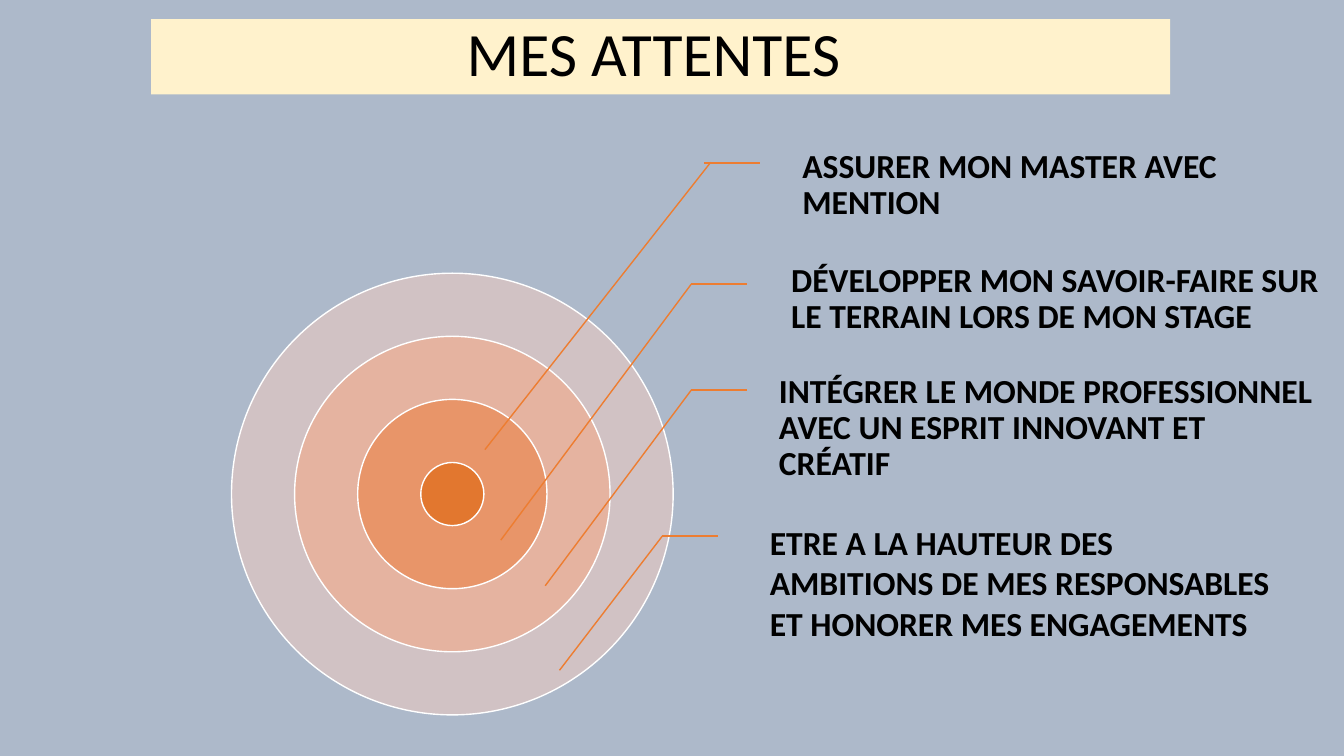
from lxml.etree import SubElement
from pptx import Presentation
from pptx.dml.color import RGBColor
from pptx.enum.shapes import MSO_CONNECTOR, MSO_SHAPE
from pptx.enum.text import MSO_ANCHOR, PP_ALIGN
from pptx.oxml.ns import qn
from pptx.util import Cm, Pt

BLUE_GREY = RGBColor(0xAD, 0xB9, 0xCA)
CREAM = RGBColor(0xFF, 0xF2, 0xCC)
BLACK = RGBColor(0x00, 0x00, 0x00)
WHITE = RGBColor(0xFF, 0xFF, 0xFF)
ORANGE = RGBColor(0xED, 0x7D, 0x31)

TARGET_CENTRE = (11.4, 12.45)
BULLSEYE_DIAMETER = 1.59
SHELF_LENGTH = 1.4

# Rings from the outside in: fill, opacity in percent
RINGS = [
    (RGBColor(0xF6, 0xCC, 0xBF), 50),
    (RGBColor(0xF0, 0xAC, 0x8F), 67),
    (RGBColor(0xE9, 0x8F, 0x5F), 83),
    (RGBColor(0xE2, 0x77, 0x2F), 100),
]

# Text, text box, shelf start, pointer start, pointer end (cm)
EXPECTATIONS = [
    ("ASSURER MON MASTER AVEC MENTION",
     (19.74, 3.35, 13.64, 2.67), (17.75, 4.11), (17.91, 4.09), (12.22, 11.33)),
    ("DÉVELOPPER MON SAVOIR-FAIRE SUR LE TERRAIN LORS DE MON STAGE",
     (19.46, 5.61, 13.97, 3.89), (17.42, 7.16), (17.42, 7.16), (12.62, 13.61)),
    ("INTÉGRER LE MONDE PROFESSIONNEL AVEC UN ESPRIT INNOVANT ET CRÉATIF",
     (19.15, 9.14, 14.25, 3.33), (17.42, 9.83), (17.42, 9.83), (13.74, 14.76)),
]
COMMITMENT = (
    "ETRE A LA HAUTEUR DES AMBITIONS DE MES RESPONSABLES ET HONORER MES ENGAGEMENTS",
    (19.15, 13.03, 13.36, 3.33), (16.69, 13.51), (16.69, 13.51), (14.1, 16.89))


def set_text(shape, text, size, bold=False, line_spacing=None):
    shape.text_frame.word_wrap = True
    paragraph = shape.text_frame.paragraphs[0]
    paragraph.text = text
    paragraph.line_spacing = line_spacing
    paragraph.font.name = "Calibri"
    paragraph.font.size = Pt(size)
    paragraph.font.bold = bold
    paragraph.font.color.rgb = BLACK
    return paragraph


def add_title(slide, text):
    banner = slide.shapes.add_shape(
        MSO_SHAPE.RECTANGLE, Cm(3.81), Cm(0.48), Cm(25.68), Cm(1.9))
    banner.shadow.inherit = False
    banner.fill.solid()
    banner.fill.fore_color.rgb = CREAM
    banner.line.fill.background()
    banner.text_frame.vertical_anchor = MSO_ANCHOR.MIDDLE
    paragraph = set_text(banner, text, 44, line_spacing=0.9)
    paragraph.alignment = PP_ALIGN.CENTER


def add_ring(slide, diameter, color, opacity):
    left, top = (centre - diameter / 2 for centre in TARGET_CENTRE)
    ring = slide.shapes.add_shape(
        MSO_SHAPE.OVAL, Cm(left), Cm(top), Cm(diameter), Cm(diameter))
    ring.shadow.inherit = False
    ring.fill.solid()
    ring.fill.fore_color.rgb = color
    ring.line.color.rgb = WHITE
    ring.line.width = Pt(1)
    if opacity < 100:
        fill_color = ring.fill._xPr.find(qn("a:solidFill"))[0]
        SubElement(fill_color, qn("a:alpha")).set("val", str(opacity * 1000))


def add_line(slide, start, end):
    line = slide.shapes.add_connector(
        MSO_CONNECTOR.STRAIGHT, *(Cm(value) for value in start + end))
    line.line.color.rgb = ORANGE
    line.line.width = Pt(1)
    SubElement(line._element.spPr, qn("a:effectLst"))


def add_callout(slide, text, box, shelf, pointer_start, pointer_end, line_spacing=None):
    label = slide.shapes.add_textbox(*(Cm(value) for value in box))
    set_text(label, text, 24, bold=True, line_spacing=line_spacing)
    add_line(slide, shelf, (shelf[0] + SHELF_LENGTH, shelf[1]))
    add_line(slide, pointer_start, pointer_end)
    return label


def centre_label(label):
    frame = label.text_frame
    frame.vertical_anchor = MSO_ANCHOR.MIDDLE
    frame.margin_left = Cm(0.48)
    frame.margin_top = frame.margin_right = frame.margin_bottom = Cm(0.08)


def main():
    presentation = Presentation()
    presentation.slide_width = Cm(33.87)
    presentation.slide_height = Cm(19.05)
    slide = presentation.slides.add_slide(presentation.slide_layouts[6])

    # Background and title
    slide.background.fill.solid()
    slide.background.fill.fore_color.rgb = BLUE_GREY
    add_title(slide, "MES ATTENTES ")

    # Target: diameters are odd multiples of the bullseye
    for index, (color, opacity) in enumerate(RINGS):
        multiple = 2 * (len(RINGS) - index) - 1
        add_ring(slide, BULLSEYE_DIAMETER * multiple, color, opacity)

    # Callouts
    for expectation in EXPECTATIONS:
        centre_label(add_callout(slide, *expectation, line_spacing=0.9))
    add_callout(slide, *COMMITMENT)

    presentation.save("out.pptx")


main()
